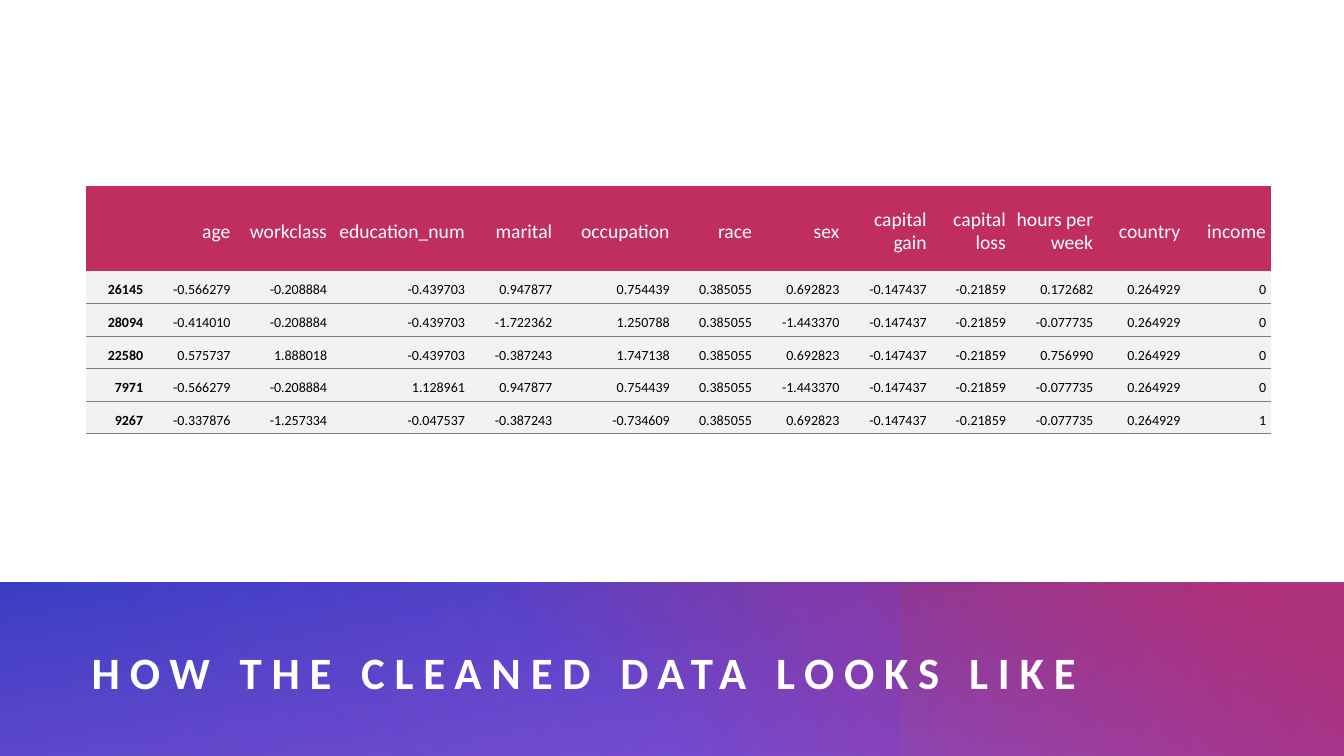
"""Build the slide that shows five rows of the cleaned data."""
import dataclasses

import pptx
import pptx.dml.color
import pptx.enum.shapes
import pptx.enum.text
import pptx.oxml
import pptx.oxml.ns
import pptx.util

Pt = pptx.util.Pt
Align = pptx.enum.text.PP_ALIGN
Anchor = pptx.enum.text.MSO_ANCHOR


@dataclasses.dataclass(frozen=True)
class Theme:
    font: str = "Calibri"
    white: str = "FFFFFF"
    black: str = "000000"
    rose: str = "C02D60"
    violet: str = "793ED1"
    blue: str = "3B3EC4"
    pale: str = "F2F2F2"
    gray: str = "808080"
    title: int = 32
    head: int = 14
    body: int = 10


theme = Theme()


def tint(code):
    return pptx.dml.color.RGBColor.from_string(code)


def style(font, size, color, bold):
    font.name = theme.font
    font.size = Pt(size)
    font.color.rgb = tint(color)
    font.bold = bold


deck = pptx.Presentation()
deck.slide_width, deck.slide_height = Pt(960), Pt(540)
slide = deck.slides.add_slide(deck.slide_layouts[6])
slide.background.fill.solid()
slide.background.fill.fore_color.rgb = tint(theme.white)

# left, top, width, height, turn, angle, stops (place, colour, opacity)
bands = [
    (-0.7, 416, 961.2, 126, 0, 260, [(0, theme.violet, 88), (100, theme.blue, 100)]),
    (318.2, 416, 643, 125.3, 0, 310, [(22, theme.rose, 0), (91, theme.rose, 100)]),
    (90, 416, 552.5, 124.6, 180, 330, [(0, theme.violet, 30), (99, theme.violet, 0)]),
    (318.2, 416, 643, 125.3, 180, 0, [(0, theme.violet, 26), (72, theme.violet, 0)]),
]
for left, top, width, height, turn, angle, stops in bands:
    band = slide.shapes.add_shape(
        pptx.enum.shapes.MSO_SHAPE.RECTANGLE, Pt(left), Pt(top), Pt(width), Pt(height))
    band.shadow.inherit = False
    band.line.fill.background()
    band.rotation = turn
    band.fill.gradient()
    band.fill.gradient_angle = (360 - angle) % 360
    for stop, (place, color, _) in zip(band.fill.gradient_stops, stops):
        stop.position = place / 100
        stop.color.rgb = tint(color)
    marks = band._element.spPr.findall(".//" + pptx.oxml.ns.qn("a:srgbClr"))
    for mark, (_, _, alpha) in zip(marks, stops):
        mark.append(pptx.oxml.parse_xml(
            f'<a:alpha {pptx.oxml.ns.nsdecls("a")} val="{alpha * 1000}"/>'))

title = slide.shapes.add_textbox(Pt(65.5), Pt(445), Pt(833.8), Pt(69.1))
frame = title.text_frame
frame.word_wrap = True
frame.vertical_anchor = Anchor.MIDDLE
frame.margin_left = frame.margin_top = frame.margin_right = frame.margin_bottom = 0
line = frame.paragraphs[0]
run = line.add_run()
run.text = "HOW THE CLEANED DATA LOOKS LIKE"
style(line.font, theme.title, theme.white, True)
run._r.get_or_add_rPr().set("spc", "700")

rows = [
    ["", "age", "workclass", "education_num", "marital", "occupation", "race", "sex",
     "capital gain", "capital loss", "hours per week", "country", "income"],
    ["26145", "-0.566279", "-0.208884", "-0.439703", "0.947877", "0.754439", "0.385055",
     "0.692823", "-0.147437", "-0.21859", "0.172682", "0.264929", "0"],
    ["28094", "-0.414010", "-0.208884", "-0.439703", "-1.722362", "1.250788", "0.385055",
     "-1.443370", "-0.147437", "-0.21859", "-0.077735", "0.264929", "0"],
    ["22580", "0.575737", "1.888018", "-0.439703", "-0.387243", "1.747138", "0.385055",
     "0.692823", "-0.147437", "-0.21859", "0.756990", "0.264929", "0"],
    ["7971", "-0.566279", "-0.208884", "1.128961", "0.947877", "0.754439", "0.385055",
     "-1.443370", "-0.147437", "-0.21859", "-0.077735", "0.264929", "0"],
    ["9267", "-0.337876", "-1.257334", "-0.047537", "-0.387243", "-0.734609", "0.385055",
     "0.692823", "-0.147437", "-0.21859", "-0.077735", "0.264929", "1"],
]
widths = [44.5, 62.4, 69, 98.5, 62.4, 83.9, 58.8, 62.4, 62.4, 56.6, 62.4, 62.2, 61.3]
heights = [60.8] + [23.3] * 5
grid = slide.shapes.add_table(
    len(rows), len(widths), Pt(61.3), Pt(132.7), Pt(sum(widths)), Pt(sum(heights)))
table = grid.table
plain = "{2D5ABB26-0587-4C30-8999-92F81FD0307C}"
table._tbl.tblPr.find(pptx.oxml.ns.qn("a:tableStyleId")).text = plain
table.horz_banding = False
for column, width in zip(table.columns, widths):
    column.width = Pt(width)

for r, (row, height) in enumerate(zip(rows, heights)):
    table.rows[r].height = Pt(height)
    head = r == 0
    for c, text in enumerate(row):
        cell = table.cell(r, c)
        cell.text = text
        cell.vertical_anchor = Anchor.MIDDLE
        cell.margin_left = cell.margin_right = Pt(3.6)
        cell.margin_top, cell.margin_bottom = Pt(6.5), Pt(2.2)
        cell.fill.solid()
        cell.fill.fore_color.rgb = tint(theme.rose if head else theme.pale)
        line = cell.text_frame.paragraphs[0]
        line.alignment = Align.RIGHT
        if head:
            style(line.font, theme.head, theme.white, False)
        else:
            style(line.font, theme.body, theme.black, c == 0)
            cell._tc.get_or_add_tcPr().insert(0, pptx.oxml.parse_xml(
                f'<a:lnB {pptx.oxml.ns.nsdecls("a")} w="{Pt(0.75)}"><a:solidFill>'
                f'<a:srgbClr val="{theme.gray}"/></a:solidFill></a:lnB>'))

deck.save("out.pptx")
